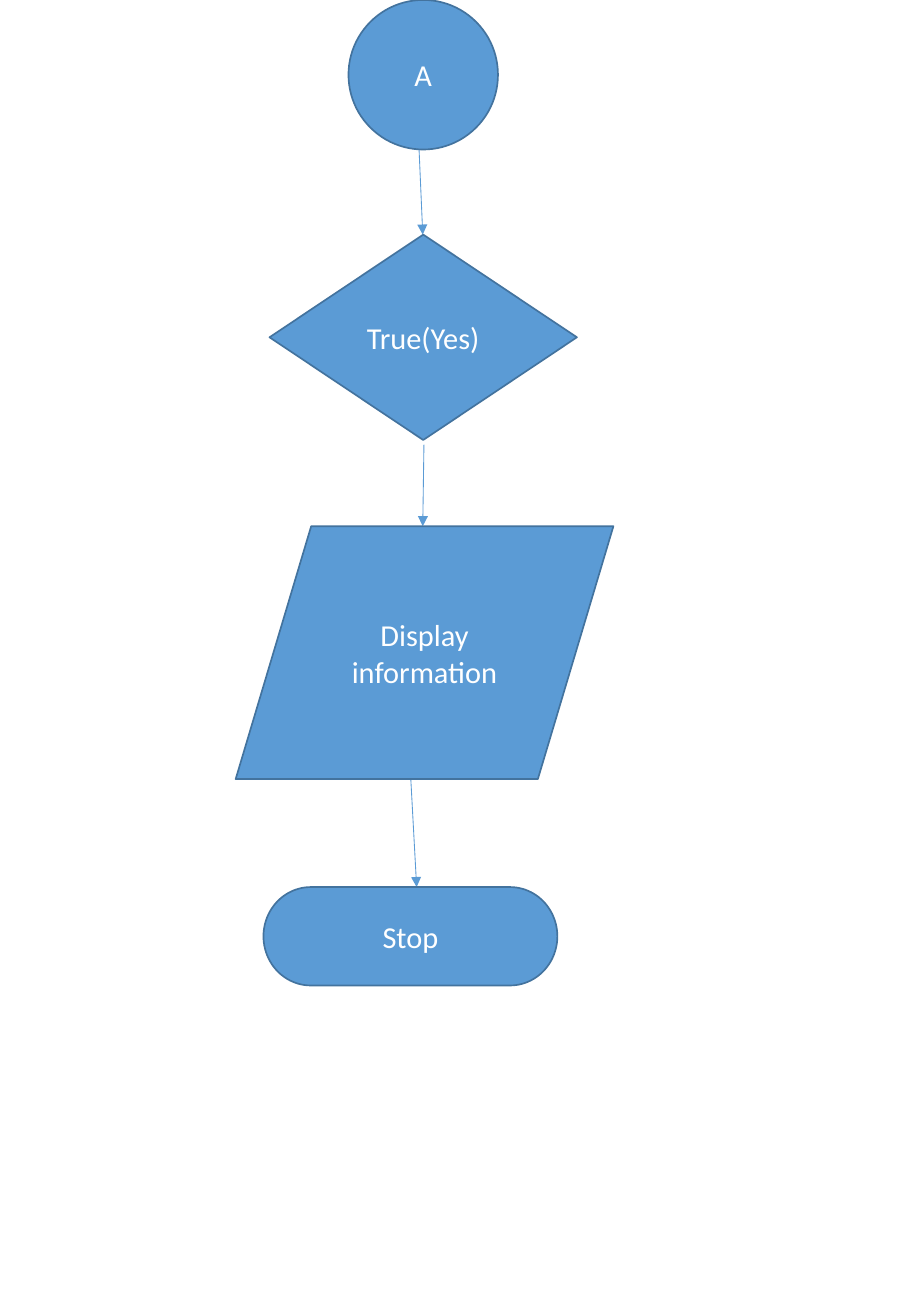
from lxml import etree
from pptx import Presentation
from pptx.dml.color import RGBColor
from pptx.enum.shapes import MSO_CONNECTOR, MSO_SHAPE
from pptx.enum.text import MSO_ANCHOR, PP_ALIGN
from pptx.oxml.ns import qn
from pptx.util import Pt

CIRCLE = MSO_SHAPE.OVAL
DECISION = MSO_SHAPE.FLOWCHART_DECISION
DATA = MSO_SHAPE.FLOWCHART_DATA
TERMINATOR = MSO_SHAPE.FLOWCHART_TERMINATOR
STRAIGHT = MSO_CONNECTOR.STRAIGHT
MIDDLE = MSO_ANCHOR.MIDDLE
CENTER = PP_ALIGN.CENTER

BLUE = "5B9BD5"
DARK_BLUE = "43739E"
WHITE = "FFFFFF"


def color(hex_string):
    return RGBColor.from_string(hex_string)


prs = Presentation()
prs.slide_width = Pt(540)
prs.slide_height = Pt(779.76)
slide = prs.slides.add_slide(prs.slide_layouts[6])

arrows = [
    (248.4, 88.6, 250.6, 139),
    (251.3, 263.5, 250.6, 311.8),
    (243.4, 459.4, 247, 525.6),
]
for x1, y1, x2, y2 in arrows:
    arrow = slide.shapes.add_connector(STRAIGHT, Pt(x1), Pt(y1), Pt(x2), Pt(y2))
    arrow.line.color.rgb = color(BLUE)
    arrow.line.width = Pt(0.5)
    etree.SubElement(arrow.line._get_or_add_ln(), qn("a:tailEnd"), type="triangle")
    etree.SubElement(arrow._element.spPr, qn("a:effectLst"))

steps = [
    (CIRCLE, "A", 206.6, 0, 88.6, 88.6),
    (DECISION, "True(Yes)", 159.8, 139, 182.2, 121.7),
    (DATA, "Display information", 139.7, 311.8, 223.9, 149.8),
    (TERMINATOR, "Stop", 156.2, 525.6, 174.2, 58.3),
]
for kind, label, left, top, width, height in steps:
    step = slide.shapes.add_shape(kind, Pt(left), Pt(top), Pt(width), Pt(height))
    step.shadow.inherit = False
    step.fill.solid()
    step.fill.fore_color.rgb = color(BLUE)
    step.line.color.rgb = color(DARK_BLUE)
    step.line.width = Pt(1)
    frame = step.text_frame
    frame.word_wrap = True
    frame.vertical_anchor = MIDDLE
    paragraph = frame.paragraphs[0]
    paragraph.alignment = CENTER
    run = paragraph.add_run()
    run.text = label
    for attribute, value in {"name": "Calibri", "size": Pt(18)}.items():
        setattr(run.font, attribute, value)
    run.font.color.rgb = color(WHITE)

prs.save("out.pptx")
